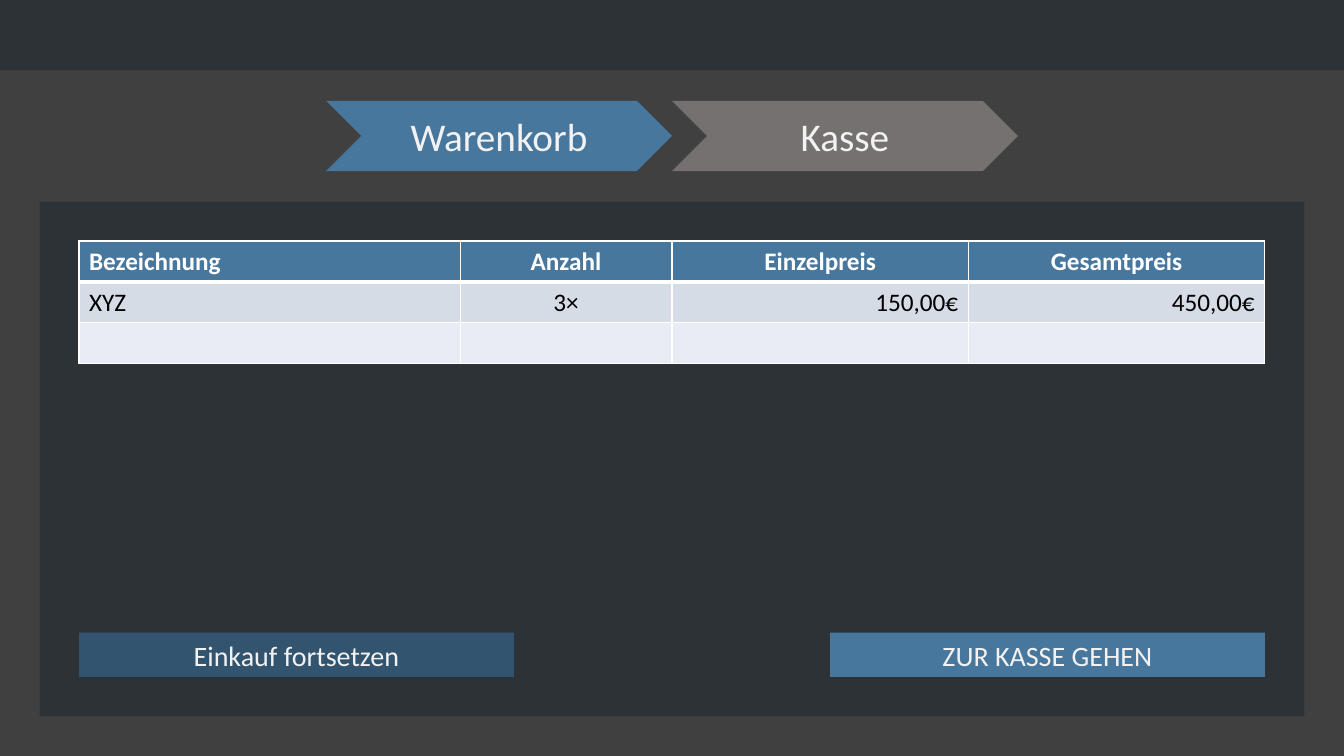
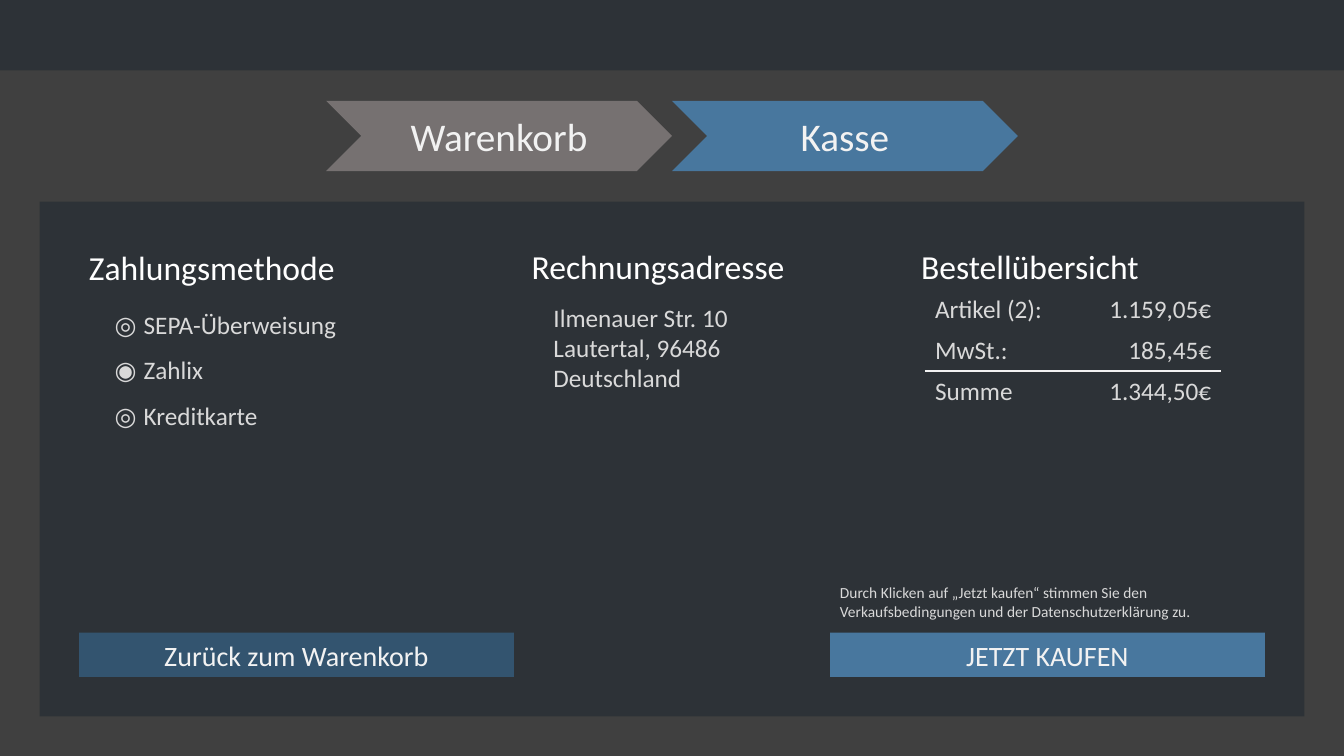
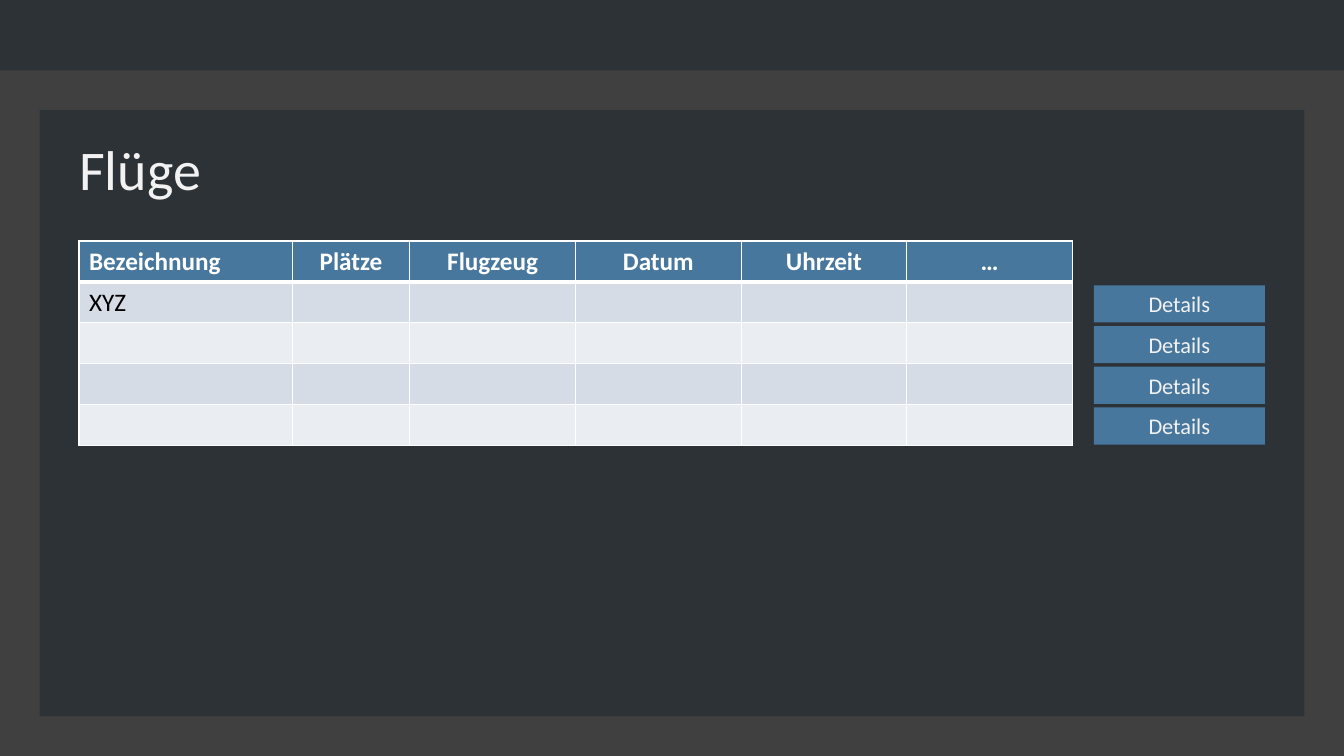
from dataclasses import dataclass
from typing import Any, NamedTuple, Sequence

from lxml.etree import SubElement
from pptx import Presentation
from pptx.dml.color import RGBColor
from pptx.enum.shapes import MSO_SHAPE
from pptx.enum.text import MSO_ANCHOR, MSO_AUTO_SIZE, PP_ALIGN
from pptx.oxml.ns import qn
from pptx.util import Inches, Pt

# Colours
BACKDROP = RGBColor(0x40, 0x40, 0x40)
PANEL = RGBColor(0x2D, 0x32, 0x37)
BLUE = RGBColor(0x48, 0x77, 0x9E)
DARK_BLUE = RGBColor(0x33, 0x54, 0x6F)
GREY = RGBColor(0x76, 0x71, 0x71)
WHITE = RGBColor(0xFF, 0xFF, 0xFF)
OFF_WHITE = RGBColor(0xF2, 0xF2, 0xF2)
LIGHT_GREY = RGBColor(0xD9, 0xD9, 0xD9)
BLACK = RGBColor(0, 0, 0)
BAND_DARK = RGBColor(0xD6, 0xDC, 0xE5)
CART_BAND_LIGHT = RGBColor(0xE9, 0xEB, 0xF5)
FLIGHT_BAND_LIGHT = RGBColor(0xEA, 0xED, 0xF2)

# Square grid: 34 columns across the slide; all lengths below are in grid units
WIDTH, HEIGHT = 13.33, 7.5
UNIT = WIDTH / 34
COLS, ROWS = 34, HEIGHT / UNIT
BAR_H = 1.78
STEP_PANEL_TOP = 5.1
CONTENT_X, CONTENT_Y, CONTENT_W = 2, STEP_PANEL_TOP + 1, 30
ROW_H = 1.03
BUTTON_W, BUTTON_H = 11, 1.12
BUTTON_Y = ROWS - 2 - BUTTON_H
BUTTON_RIGHT_X = CONTENT_X + CONTENT_W - BUTTON_W
STEP_W, STEP_Y = 8.75, 2.55

FONT, SYMBOL_FONT = "Calibri", "Arial"
NO_STYLE = "{2D5ABB26-0587-4C30-8999-92F81FD0307C}"
L, C, R = PP_ALIGN.LEFT, PP_ALIGN.CENTER, PP_ALIGN.RIGHT


class Box(NamedTuple):
    x: float
    y: float
    w: float
    h: float

    def emu(self) -> list[int]:
        return [Inches(n * UNIT) for n in self]


class Span(NamedTuple):
    text: str
    font: str = FONT


@dataclass
class TextBlock:
    box: Box
    lines: Sequence[Sequence[Span]]
    size: float = 18
    color: RGBColor = LIGHT_GREY
    spacing: float = 1.0


@dataclass
class Button:
    label: str
    box: Box
    fill: RGBColor = BLUE
    size: float = 20


class Edge(NamedTuple):
    color: RGBColor
    width: float


THIN, THICK = Edge(WHITE, 1), Edge(WHITE, 3)
SUM_LINE = Edge(OFF_WHITE, 1)


def set_font(font: Any, color: RGBColor, size: float, name: str = FONT, bold: bool = False) -> None:
    for key, value in {"size": Pt(size), "name": name, "bold": bold}.items():
        setattr(font, key, value)
    font.color.rgb = color


def add_block(shapes: Any, box: Box, fill: RGBColor, kind: MSO_SHAPE = MSO_SHAPE.RECTANGLE,
              label: str = "", size: float = 20) -> None:
    """Flat shape without outline, with an optional centred label."""
    sp = shapes.add_shape(kind, *box.emu())
    sp.shadow.inherit = False
    sp.fill.solid()
    sp.fill.fore_color.rgb = fill
    sp.line.fill.background()
    if label:
        sp.text_frame.vertical_anchor = MSO_ANCHOR.MIDDLE
        p = sp.text_frame.paragraphs[0]
        p.alignment = C
        r = p.add_run()
        r.text = label
        set_font(r.font, OFF_WHITE, size)


def add_button(s: Any, button: Button) -> None:
    add_block(s.shapes, button.box, button.fill, label=button.label, size=button.size)


def add_text(s: Any, block: TextBlock) -> None:
    tf = s.shapes.add_textbox(*block.box.emu()).text_frame
    tf.word_wrap = True
    for i, line in enumerate(block.lines):
        p = tf.add_paragraph() if i else tf.paragraphs[0]
        p.line_spacing = block.spacing
        for span in line:
            r = p.add_run()
            r.text = span.text
            set_font(r.font, block.color, block.size, span.font)


def add_steps(s: Any, active: int) -> None:
    """Two-step progress chevrons, the active one in blue."""
    group = s.shapes.add_group_shape()
    for i, label in enumerate(("Warenkorb", "Kasse")):
        box = Box(COLS / 2 + (i - 1) * STEP_W, STEP_Y, STEP_W, BAR_H)
        add_block(group.shapes, box, BLUE if i == active else GREY, MSO_SHAPE.CHEVRON, label, 28)


def set_edges(cell: Any, **edges: Edge) -> None:
    """Cell borders; keys are L, R, T and B, in that order."""
    props = cell._tc.get_or_add_tcPr()
    for side, edge in edges.items():
        ln = SubElement(props, qn(f"a:ln{side}"), w=str(Pt(edge.width)))
        fill = SubElement(ln, qn("a:solidFill"))
        SubElement(fill, qn("a:srgbClr"), val=str(edge.color))


def add_plain_table(s: Any, x: float, y: float, widths: Sequence[float], rows: int) -> Any:
    frame = s.shapes.add_table(rows, len(widths), *Box(x, y, sum(widths), rows * ROW_H).emu())
    table = frame.table
    table.first_row = table.horz_banding = False
    frame.element.find(".//" + qn("a:tableStyleId")).text = NO_STYLE
    for column, width in zip(table.columns, widths):
        column.width = Inches(width * UNIT)
    for row in table.rows:
        row.height = Inches(ROW_H * UNIT)
    return table


def fill_cell(cell: Any, text: str, align: PP_ALIGN, color: RGBColor, bold: bool = False) -> None:
    p = cell.text_frame.paragraphs[0]
    p.alignment = align
    if text:
        r = p.add_run()
        r.text = text
        set_font(r.font, color, 18, bold=bold)
    else:
        set_font(p.font, color, 18)


def add_banded_table(s: Any, widths: Sequence[float], header: Sequence[str], row: Sequence[str],
                     aligns: Sequence[PP_ALIGN], body_rows: int, light: RGBColor) -> None:
    """Blue header, one filled row, then empty rows in alternating bands."""
    table = add_plain_table(s, CONTENT_X, CONTENT_Y, widths, body_rows + 1)
    for i in range(body_rows + 1):
        for j in range(len(widths)):
            cell = table.cell(i, j)
            set_edges(cell, L=THIN, R=THIN, T=THICK if i == 1 else THIN, B=THIN if i else THICK)
            cell.fill.solid()
            cell.fill.fore_color.rgb = (BAND_DARK if i % 2 else light) if i else BLUE
            if i == 0:
                fill_cell(cell, header[j], C if j else L, WHITE, True)
            else:
                fill_cell(cell, row[j] if i == 1 else "", aligns[j], BLACK)


def add_sum_table(s: Any, rows: Sequence[tuple[str, str]]) -> None:
    table = add_plain_table(s, 23.4, 7.32, (4.26, 3.24), len(rows))
    for i, row in enumerate(rows):
        for j, text in enumerate(row):
            cell = table.cell(i, j)
            if i == len(rows) - 2:
                set_edges(cell, B=SUM_LINE)
            elif i == len(rows) - 1:
                set_edges(cell, T=SUM_LINE)
            cell.fill.background()
            fill_cell(cell, text, R if j else L, LIGHT_GREY)


def add_page(prs: Any, layout: int, panel_top: float) -> Any:
    """Slide with the top bar and the content panel."""
    s = prs.slides.add_slide(prs.slide_layouts[layout])
    add_block(s.shapes, Box(0, 0, COLS, BAR_H), PANEL)
    add_block(s.shapes, Box(1, panel_top, COLS - 2, ROWS - 1 - panel_top), PANEL)
    return s


def add_step_page(prs: Any, active: int, back: str, forward: str) -> Any:
    s = add_page(prs, 6, STEP_PANEL_TOP)
    add_steps(s, active)
    add_button(s, Button(back, Box(CONTENT_X, BUTTON_Y, BUTTON_W, BUTTON_H), DARK_BLUE))
    add_button(s, Button(forward, Box(BUTTON_RIGHT_X, BUTTON_Y, BUTTON_W, BUTTON_H)))
    return s


def build_cart(prs: Any) -> None:
    s = add_step_page(prs, 0, "Einkauf fortsetzen", "ZUR KASSE GEHEN")
    add_banded_table(s, (9.64, 5.36, 7.5, 7.5),
                     ("Bezeichnung", "Anzahl", "Einzelpreis", "Gesamtpreis"),
                     ("XYZ", "3×", "150,00€", "450,00€"), (L, C, R, R), 2, CART_BAND_LIGHT)


def build_checkout(prs: Any) -> None:
    s = add_step_page(prs, 1, "Zurück zum Warenkorb", "JETZT KAUFEN")
    add_sum_table(s, (("Artikel (2):", "1.159,05€"), ("MwSt.:", "185,45€"),
                      ("Summe", "1.344,50€")))
    # Column headings
    for x, y, w, heading in ((CONTENT_X, 6.12, 12, "Zahlungsmethode"),
                             (13.2, CONTENT_Y, 12, "Rechnungsadresse"),
                             (23.05, CONTENT_Y, 8.5, "Bestellübersicht")):
        add_text(s, TextBlock(Box(x, y, w, 1.28), [[Span(heading)]], 24, WHITE))
    # Column contents
    methods = (("◎ ", "SEPA-Überweisung"), ("◉ ", "Zahlix"), ("◎ ", "Kreditkarte"))
    add_text(s, TextBlock(Box(2.65, 7.32, 8, 3.62),
                          [[Span(mark, SYMBOL_FONT), Span(name)] for mark, name in methods],
                          spacing=1.5))
    address = ("Ilmenauer Str. 10", "Lautertal, 96486", "Deutschland")
    add_text(s, TextBlock(Box(13.75, 7.52, 5.4, 3.34), [[Span(line)] for line in address]))
    terms = ("Durch Klicken auf „Jetzt kaufen“ stimmen Sie den Verkaufsbedingungen "
             "und der Datenschutzerklärung zu.")
    add_text(s, TextBlock(Box(BUTTON_RIGHT_X, 14.64, BUTTON_W, 1.2), [[Span(terms)]], 11))


def build_flights(prs: Any) -> None:
    s = add_page(prs, 5, BAR_H + 1)
    # Title, brought in front of the panel
    title = s.shapes.title
    title.element.getparent().append(title.element)
    title.left, title.top, title.width, title.height = Box(1.75, 3.27, 7.93, 1.96).emu()
    tf = title.text_frame
    tf.text = "Flüge"
    tf.vertical_anchor = MSO_ANCHOR.TOP
    tf.auto_size = MSO_AUTO_SIZE.NONE
    tf.paragraphs[0].alignment = L
    set_font(tf.paragraphs[0].runs[0].font, OFF_WHITE, 40)
    # Flight list with one button at the foot of each row
    body_rows = 4
    add_banded_table(s, (5.39, 2.98, 4.19, 4.19, 4.19, 4.19),
                     ("Bezeichnung", "Plätze", "Flugzeug", "Datum", "Uhrzeit", "…"),
                     ("XYZ", "", "", "", "", ""), (L, C, C, C, C, C),
                     body_rows, FLIGHT_BAND_LIGHT)
    w, h = 4.33, 0.94
    for i in range(body_rows):
        y = CONTENT_Y + (i + 2) * ROW_H - h
        add_button(s, Button("Details", Box(CONTENT_X + CONTENT_W - w, y, w, h), size=16))


def main() -> None:
    prs = Presentation()
    prs.slide_width, prs.slide_height = Inches(WIDTH), Inches(HEIGHT)
    backdrop = prs.slide_master.background.fill
    backdrop.solid()
    backdrop.fore_color.rgb = BACKDROP
    for build in (build_cart, build_checkout, build_flights):
        build(prs)
    prs.save("out.pptx")


if __name__ == "__main__":
    main()
